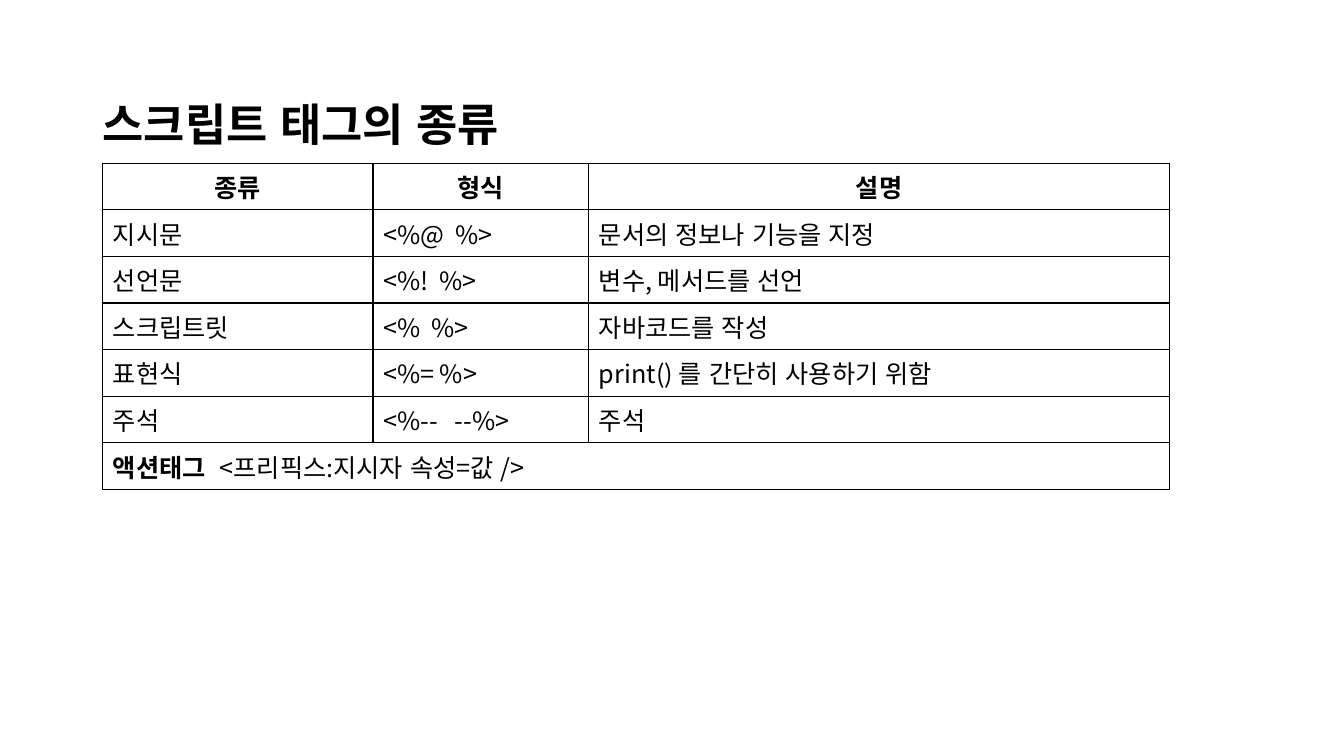
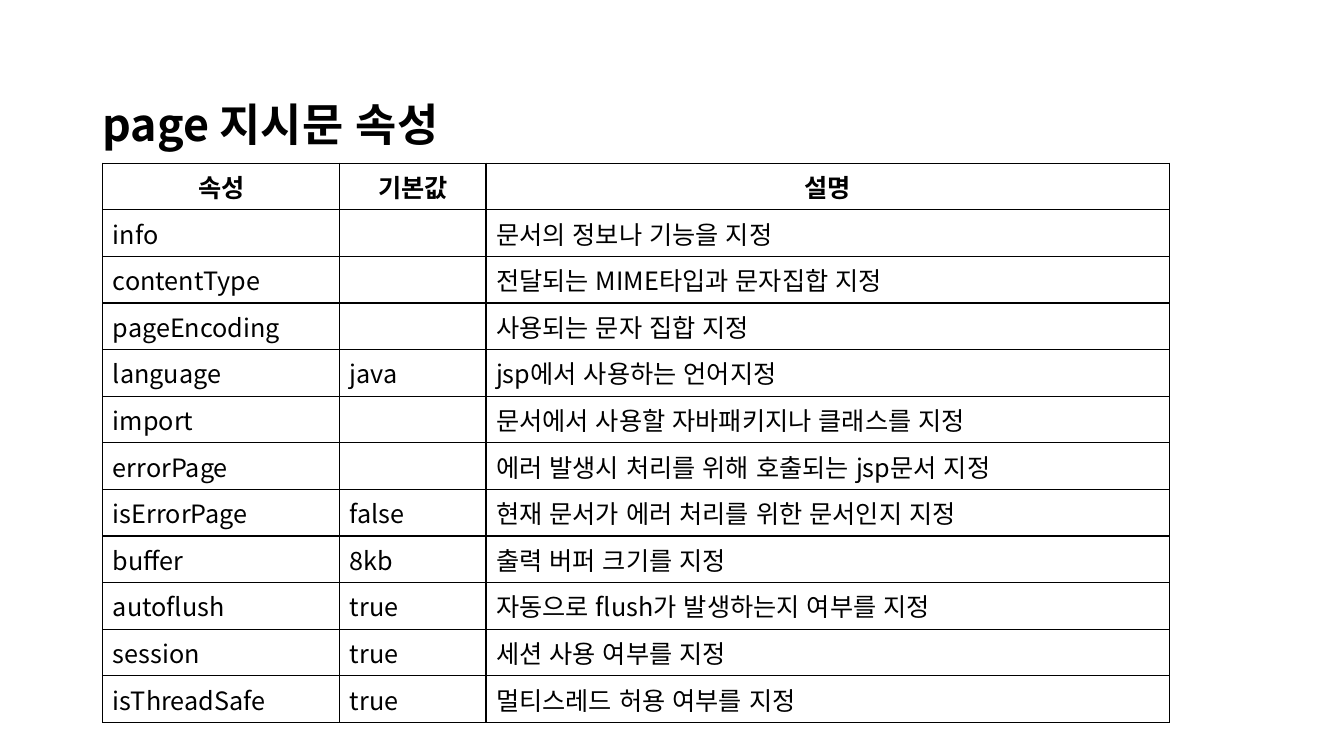
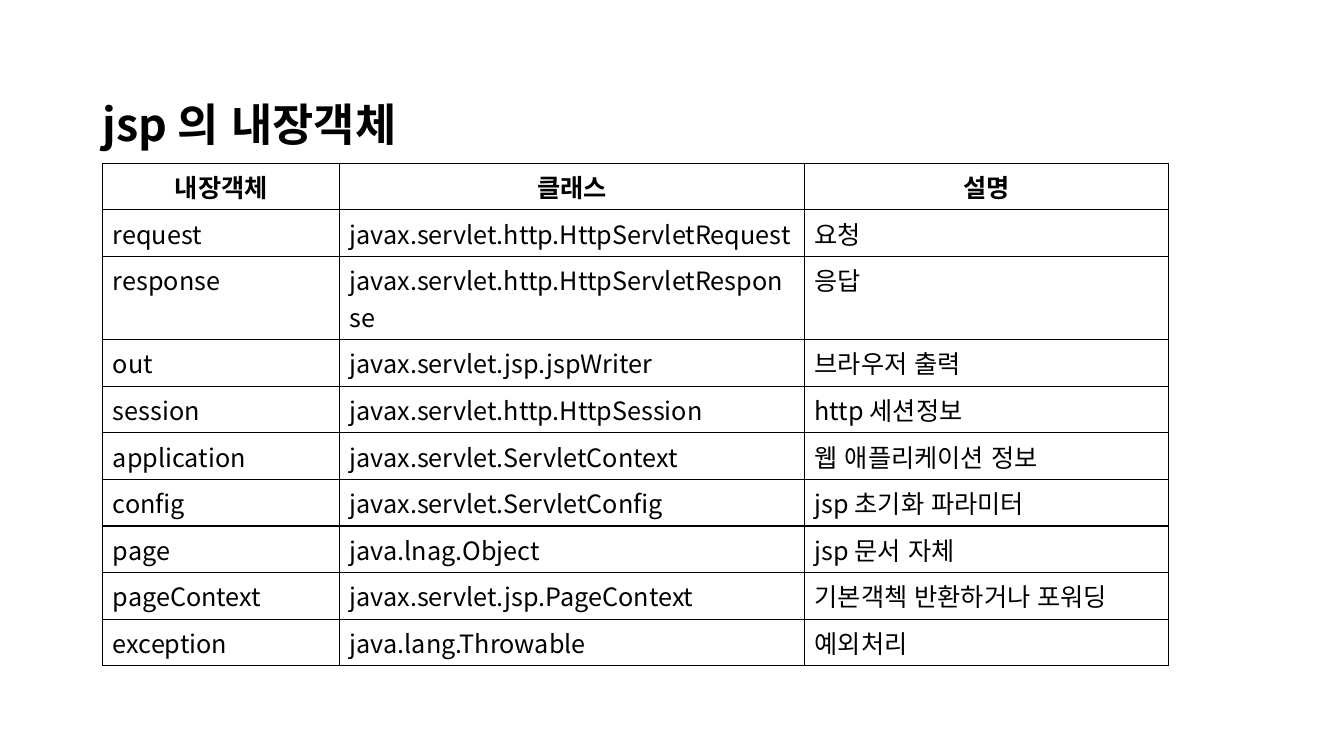
from dataclasses import dataclass

from lxml.etree import SubElement
from pptx import Presentation
from pptx.dml.color import RGBColor
from pptx.enum.lang import MSO_LANGUAGE_ID as Language
from pptx.enum.text import MSO_ANCHOR as Anchor, PP_ALIGN as Align
from pptx.oxml.ns import qn
from pptx.util import Inches, Pt

FONT = "Noto Sans CJK KR"
INK = "000000"
TITLE_SIZE = 32
CELL_SIZE = 18
BORDER_WIDTH = 1
TITLE_BOX = (0.92, 0.97, 11.5, 0.58)
TABLE_LEFT, TABLE_TOP = 1.02, 1.62
LINE_HEIGHT = CELL_SIZE * 1.45 / 72
CELL_PADDING = 0.1


@dataclass(frozen=True)
class Span:
    text: str
    bold: bool = False


@dataclass(frozen=True)
class TablePage:
    title: str
    widths: tuple[float, ...]
    header: tuple[str, ...]
    rows: tuple[tuple[str, ...], ...]
    footer: tuple[Span, ...] = ()
    two_line_rows: tuple[int, ...] = ()


PAGES = (
    TablePage(
        "스크립트 태그의 종류",
        (2.68, 2.14, 5.76),
        ("종류", "형식", "설명"),
        (
            ("지시문", "<%@  %>", "문서의 정보나 기능을 지정"),
            ("선언문", "<%!  %>", "변수, 메서드를 선언"),
            ("스크립트릿", "<%  %>", "자바코드를 작성"),
            ("표현식", "<%= %>", "print() 를 간단히 사용하기 위함"),
            ("주석", "<%--   --%>", "주석"),
        ),
        footer=(Span("액션태그  ", bold=True), Span("<프리픽스:지시자 속성=값 />")),
    ),
    TablePage(
        "page 지시문 속성",
        (2.35, 1.45, 6.78),
        ("속성", "기본값", "설명"),
        (
            ("info", "", "문서의 정보나 기능을 지정"),
            ("contentType", "", "전달되는 MIME타입과 문자집합 지정"),
            ("pageEncoding", "", "사용되는 문자 집합 지정"),
            ("language", "java", "jsp에서 사용하는 언어지정"),
            ("import", "", "문서에서 사용할 자바패키지나 클래스를 지정"),
            ("errorPage", "", "에러 발생시 처리를 위해 호출되는 jsp문서 지정"),
            ("isErrorPage", "false", "현재 문서가 에러 처리를 위한 문서인지 지정"),
            ("buffer", "8kb", "출력 버퍼 크기를 지정"),
            ("autoflush", "true", "자동으로 flush가 발생하는지 여부를 지정"),
            ("session", "true", "세션 사용 여부를 지정"),
            ("isThreadSafe", "true", "멀티스레드 허용 여부를 지정"),
        ),
    ),
    TablePage(
        "jsp 의 내장객체",
        (2.35, 4.61, 3.61),
        ("내장객체", "클래스", "설명"),
        (
            ("request", "javax.servlet.http.HttpServletRequest", "요청"),
            ("response", "javax.servlet.http.HttpServletResponse", "응답"),
            ("out", "javax.servlet.jsp.jspWriter", "브라우저 출력"),
            ("session", "javax.servlet.http.HttpSession", "http 세션정보"),
            ("application", "javax.servlet.ServletContext", "웹 애플리케이션 정보"),
            ("config", "javax.servlet.ServletConfig", "jsp 초기화 파라미터"),
            ("page", "java.lnag.Object", "jsp 문서 자체"),
            ("pageContext", "javax.servlet.jsp.PageContext", "기본객첵 반환하거나 포워딩"),
            ("exception", "java.lang.Throwable", "예외처리"),
        ),
        two_line_rows=(2,),
    ),
)


def color(value: str) -> RGBColor:
    return RGBColor.from_string(value)


def add_text(para, text: str, *, size: float = CELL_SIZE, bold: bool = False, ink: str = INK) -> None:
    """Append one span, with the same font for Latin and Korean letters."""
    span = para.add_run()
    span.text = text
    font = span.font
    font.size, font.bold, font.name = Pt(size), bold, FONT
    font.language_id = Language.KOREAN
    font.color.rgb = color(ink)
    SubElement(span._r.get_or_add_rPr(), qn("a:ea"), typeface=FONT)


def style_cell(cell) -> None:
    """Draw all four borders and clear the fill."""
    properties = cell._tc.get_or_add_tcPr()
    for side in ("lnL", "lnR", "lnT", "lnB"):
        line = SubElement(properties, qn(f"a:{side}"), w=str(Pt(BORDER_WIDTH)))
        fill = SubElement(line, qn("a:solidFill"))
        SubElement(fill, qn("a:srgbClr"), val=INK)
    cell.fill.background()


def add_title(page, title: str) -> None:
    box = page.shapes.add_textbox(*map(Inches, TITLE_BOX))
    frame = box.text_frame
    frame.word_wrap = True
    frame.vertical_anchor = Anchor.MIDDLE
    para = frame.paragraphs[0]
    para.line_spacing = 0.9
    add_text(para, title, size=TITLE_SIZE, bold=True)


def row_heights(content: TablePage, row_count: int) -> list[float]:
    """Give each row room for its lines of text."""
    line_counts = (2 if index in content.two_line_rows else 1 for index in range(row_count))
    return [lines * LINE_HEIGHT + CELL_PADDING for lines in line_counts]


def add_grid(page, content: TablePage) -> None:
    rows = [content.header, *content.rows]
    row_count = len(rows) + bool(content.footer)
    heights = row_heights(content, row_count)
    table = page.shapes.add_table(
        row_count, len(content.widths),
        Inches(TABLE_LEFT), Inches(TABLE_TOP),
        Inches(sum(content.widths)), Inches(sum(heights)),
    ).table
    table.first_row = table.horz_banding = False
    for column, width in zip(table.columns, content.widths):
        column.width = Inches(width)
    for row, height in zip(table.rows, heights):
        row.height = Inches(height)
    for cell in table.iter_cells():
        style_cell(cell)

    for row_index, texts in enumerate(rows):
        is_header = row_index == 0
        for column_index, text in enumerate(texts):
            para = table.cell(row_index, column_index).text_frame.paragraphs[0]
            if is_header:
                para.alignment = Align.CENTER
            if text:
                add_text(para, text, bold=is_header)

    if content.footer:
        first = table.cell(row_count - 1, 0)
        first.merge(table.cell(row_count - 1, len(content.widths) - 1))
        for span in content.footer:
            add_text(first.text_frame.paragraphs[0], span.text, bold=span.bold)


def main() -> None:
    deck = Presentation()
    deck.slide_width, deck.slide_height = Inches(13.33), Inches(7.5)
    blank = deck.slide_layouts[6]
    for content in PAGES:
        page = deck.slides.add_slide(blank)
        add_title(page, content.title)
        add_grid(page, content)
    deck.save("out.pptx")


if __name__ == "__main__":
    main()
